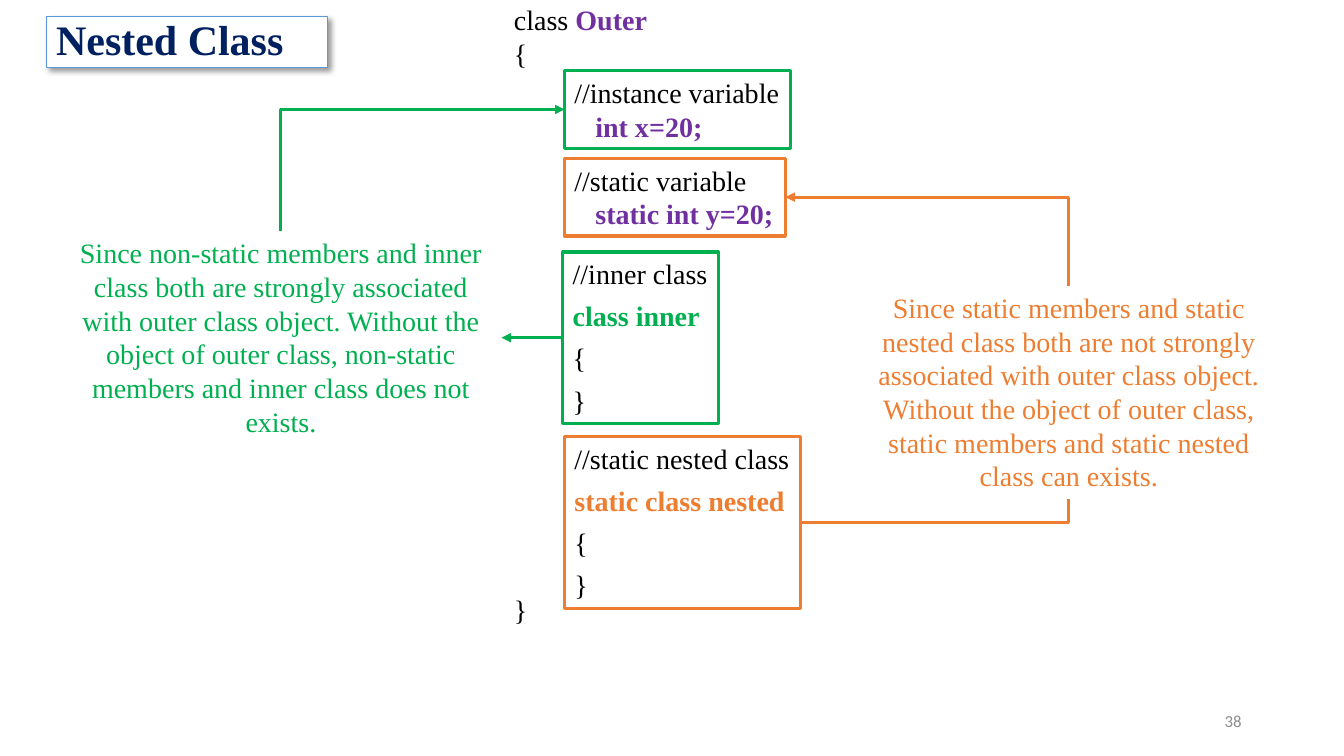
from dataclasses import dataclass

from lxml import etree
from pptx import Presentation
from pptx.dml.color import RGBColor
from pptx.enum.shapes import MSO_CONNECTOR, MSO_SHAPE
from pptx.enum.text import MSO_ANCHOR, MSO_AUTO_SIZE, PP_ALIGN
from pptx.oxml.ns import qn
from pptx.shapes.autoshape import Shape
from pptx.shapes.connector import Connector
from pptx.slide import Slide
from pptx.util import Inches, Pt

RECTANGLE = MSO_SHAPE.RECTANGLE
STRAIGHT, ELBOW = MSO_CONNECTOR.STRAIGHT, MSO_CONNECTOR.ELBOW
TOP, MIDDLE = MSO_ANCHOR.TOP, MSO_ANCHOR.MIDDLE
LEFT, CENTER, RIGHT = PP_ALIGN.LEFT, PP_ALIGN.CENTER, PP_ALIGN.RIGHT
GROW, FIXED = MSO_AUTO_SIZE.SHAPE_TO_FIT_TEXT, MSO_AUTO_SIZE.NONE
LEFT_SIDE, RIGHT_SIDE = 1, 3

WIDTH, HEIGHT = Inches(13.33), Inches(7.5)
COLUMNS, ROWS = 160, 90


@dataclass(frozen=True)
class Theme:
    serif: str = "Times New Roman"
    sans: str = "Calibri"
    title_size: int = 30
    body_size: int = 20
    number_size: int = 12
    frame_width: float = 2.25
    title_width: float = 0.75
    black: str = "000000"
    white: str = "FFFFFF"
    navy: str = "002060"
    blue: str = "5B9BD5"
    purple: str = "7030A0"
    green: str = "00B050"
    orange: str = "ED7D31"
    grey: str = "8C8C8C"


THEME = Theme()


@dataclass(frozen=True)
class Area:
    column: float
    row: float
    columns: float
    rows: float


@dataclass(frozen=True)
class Span:
    text: str
    color: str = THEME.black
    bold: bool = False


@dataclass(frozen=True)
class Line:
    spans: tuple[Span, ...]
    size: int = THEME.body_size
    font: str = THEME.serif
    align: PP_ALIGN = LEFT
    before: float = 0
    after: float = 0
    spacing: float = 1.0


@dataclass(frozen=True)
class Panel:
    area: Area
    lines: tuple[Line, ...]
    border: str = ""
    border_width: float = THEME.frame_width
    wrap: bool = True
    anchor: MSO_ANCHOR = TOP
    size_mode: MSO_AUTO_SIZE = GROW


def across(columns: float) -> int:
    return round(WIDTH * columns / COLUMNS)


def down(rows: float) -> int:
    return round(HEIGHT * rows / ROWS)


def code_panel(area: Area, border: str, spans: tuple[Span, ...], after: float = 0) -> Panel:
    lines = tuple(Line((span,), after=after) for span in spans)
    return Panel(area, lines, border, wrap=False)


def class_panel(area: Area, border: str, note: str, name: str) -> Panel:
    spans = (Span(note), Span(name, border, True), Span("{"), Span("}"))
    return code_panel(area, border, spans, after=6)


def variable_panel(area: Area, border: str, note: str, code: str) -> Panel:
    return code_panel(area, border, (Span(note), Span(code, THEME.purple, True)))


def note_panel(area: Area, color: str, text: str) -> Panel:
    return Panel(area, (Line((Span(text, color),), align=CENTER, after=6),))


TITLE = Panel(
    Area(5.5, 2, 33.5, 6),
    (Line((Span("Nested Class", THEME.navy, True),), THEME.title_size, spacing=0.9),),
    THEME.blue, THEME.title_width, anchor=MIDDLE, size_mode=FIXED,
)
OUTER = Panel(Area(60, -0.24, 41.2, 76), (
    Line((Span("class "), Span("Outer", THEME.purple, True))),
    Line((Span("{"),)),
    Line((Span("}"),), before=373),
))
INSTANCE = variable_panel(Area(67.2, 8.4, 26.9, 9.25), THEME.green,
                          "//instance variable", "   int x=20;")
STATIC = variable_panel(Area(67.2, 18.85, 26.3, 9.25), THEME.orange,
                        "//static variable", "   static int y=20;")
INNER = class_panel(Area(67, 30, 18.5, 20.4), THEME.green, "//inner class", "class inner")
NESTED = class_panel(Area(67.2, 52, 28.15, 20.4), THEME.orange,
                     "//static nested class", "static class nested")
INNER_NOTE = note_panel(
    Area(7.2, 27.5, 52.5, 25.4), THEME.green,
    "Since non-static members and inner class both are strongly associated with outer "
    "class object. Without the object of outer class, non-static members and inner "
    "class does not exists.")
STATIC_NOTE = note_panel(
    Area(101, 34, 52.5, 25.4), THEME.orange,
    "Since static members and static nested class both are not strongly associated with "
    "outer class object. Without the object of outer class, static members and static "
    "nested class can exists.")
PAGE_NUMBER = Panel(
    Area(113, 83.4, 36, 4.8),
    (Line((Span("38", THEME.grey),), THEME.number_size, THEME.sans, RIGHT),),
    anchor=MIDDLE, size_mode=FIXED,
)


def write_lines(box: Shape, panel: Panel) -> None:
    frame = box.text_frame
    frame.word_wrap = panel.wrap
    frame.auto_size = panel.size_mode
    frame.vertical_anchor = panel.anchor
    for index, line in enumerate(panel.lines):
        para = frame.add_paragraph() if index else frame.paragraphs[0]
        para.alignment = line.align
        para.line_spacing = line.spacing
        para.space_before, para.space_after = Pt(line.before), Pt(line.after)
        para.font.name, para.font.size = line.font, Pt(line.size)
        for span in line.spans:
            run = para.add_run()
            run.text = span.text
            font = para.font if len(line.spans) == 1 else run.font
            font.bold = span.bold
            font.color.rgb = RGBColor.from_string(span.color)


def draw_panel(page: Slide, panel: Panel) -> Shape:
    area = panel.area
    place = across(area.column), down(area.row), across(area.columns), down(area.rows)
    if panel.border:
        box = page.shapes.add_shape(RECTANGLE, *place)
        box.shadow.inherit = False
        box.fill.background()
        box.line.color.rgb = RGBColor.from_string(panel.border)
        box.line.width = Pt(panel.border_width)
    else:
        box = page.shapes.add_textbox(*place)
    write_lines(box, panel)
    return box


def draw_title(page: Slide) -> None:
    box = draw_panel(page, TITLE)
    box.fill.solid()
    box.fill.fore_color.rgb = RGBColor.from_string(THEME.white)
    effects = box._element.spPr.find(qn("a:effectLst"))
    shadow = etree.SubElement(effects, qn("a:outerShdw"), blurRad=str(Pt(4)),
                              dist=str(Pt(3)), dir=str(45 * 60000), algn="tl")
    color = etree.SubElement(shadow, qn("a:srgbClr"), val=THEME.black)
    etree.SubElement(color, qn("a:alpha"), val="40000")


def style_connector(link: Connector, color: str, arrow: bool) -> None:
    link.line.color.rgb = RGBColor.from_string(color)
    link.line.width = Pt(THEME.frame_width)
    if arrow:
        etree.SubElement(link.line._get_or_add_ln(), qn("a:tailEnd"), type="triangle")
    etree.SubElement(link._element.spPr, qn("a:effectLst"))


def draw_bend(page: Slide, start: tuple[int, int], end: tuple[int, int],
              color: str, upward: bool) -> None:
    begin_x, begin_y, end_x, end_y = *start, *end
    if upward:
        middle_x, middle_y = (begin_x + end_x) // 2, (begin_y + end_y) // 2
        half_rise, half_run = (begin_y - end_y) // 2, (end_x - begin_x) // 2
        begin_x, end_x = middle_x - half_rise, middle_x + half_rise
        begin_y, end_y = middle_y - half_run, middle_y + half_run
    link = page.shapes.add_connector(ELBOW, begin_x, begin_y, end_x, end_y)
    properties = link._element.spPr
    properties.find(qn("a:prstGeom")).set("prst", "bentConnector2")
    if upward:
        properties.find(qn("a:xfrm")).set("rot", str(270 * 60000))
    style_connector(link, color, arrow=upward)


def main() -> None:
    deck = Presentation()
    deck.slide_width, deck.slide_height = WIDTH, HEIGHT
    page = deck.slides.add_slide(deck.slide_layouts[6])
    draw_panel(page, PAGE_NUMBER)
    draw_title(page)
    panels = (OUTER, INSTANCE, STATIC, INNER, NESTED, INNER_NOTE, STATIC_NOTE)
    _, instance, static, inner, nested, inner_note, static_note = (
        draw_panel(page, panel) for panel in panels)

    link = page.shapes.add_connector(STRAIGHT, 0, 0, 0, 0)
    link.begin_connect(inner, LEFT_SIDE)
    link.end_connect(inner_note, RIGHT_SIDE)
    style_connector(link, THEME.green, arrow=True)

    inner_x = inner_note.left + inner_note.width // 2
    static_x = static_note.left + static_note.width // 2
    draw_bend(page, (inner_x, inner_note.top),
              (instance.left, instance.top + instance.height // 2), THEME.green, True)
    draw_bend(page, (nested.left + nested.width, nested.top + nested.height // 2),
              (static_x, static_note.top + static_note.height), THEME.orange, False)
    draw_bend(page, (static_x, static_note.top),
              (static.left + static.width, static.top + static.height // 2),
              THEME.orange, True)
    deck.save("out.pptx")


if __name__ == "__main__":
    main()
